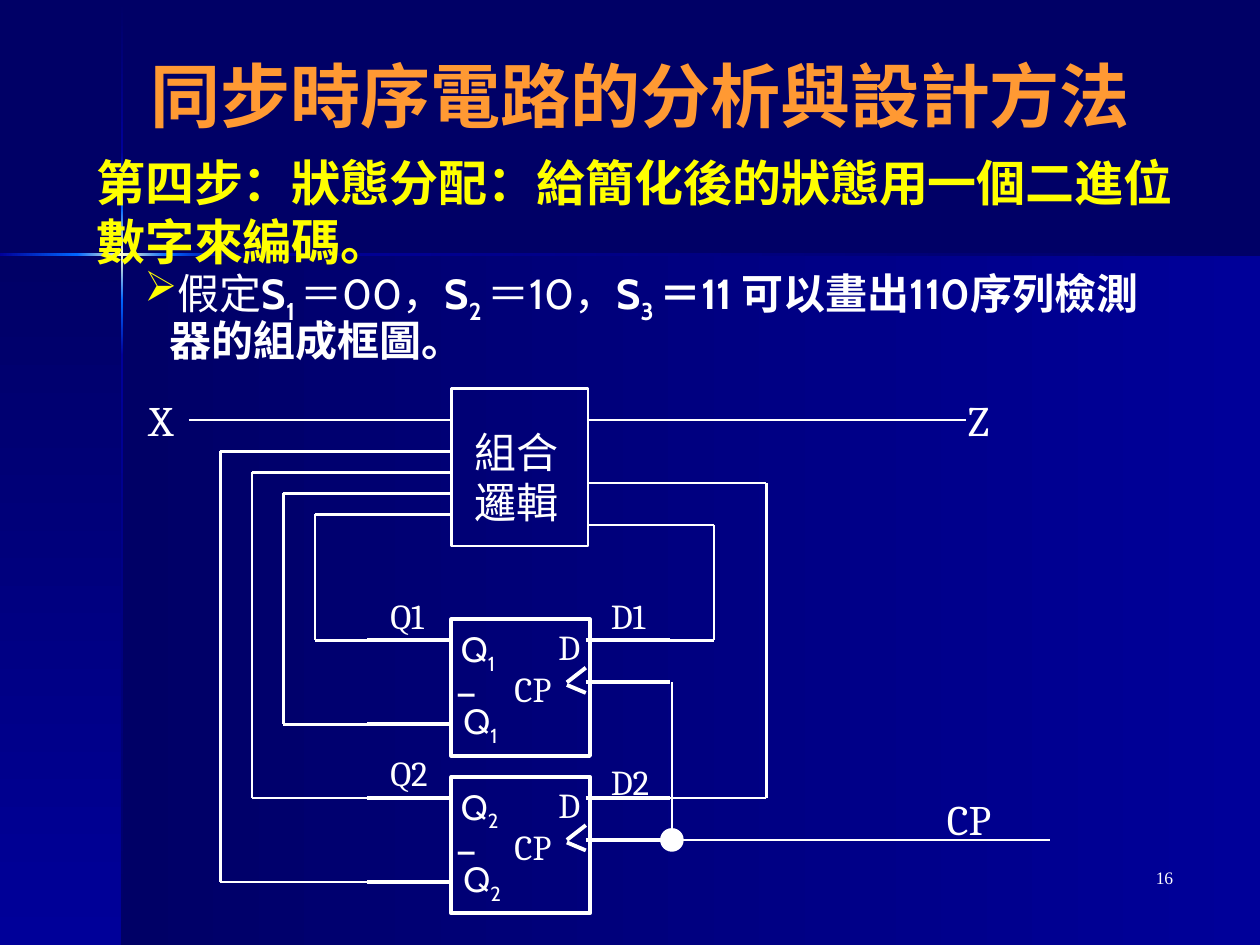
from itertools import pairwise

from lxml import etree
from pptx import Presentation
from pptx import util as u
from pptx.dml.color import RGBColor
from pptx.enum import shapes, text
from pptx.oxml.ns import qn

NAVY = RGBColor(0x00, 0x00, 0x66)
DEEP = RGBColor(0x00, 0x00, 0x99)
BLUE = RGBColor(0x00, 0x66, 0xFF)
CREAM = RGBColor(0xFF, 0xFF, 0xCC)
WHITE = RGBColor(0xFF, 0xFF, 0xFF)
GOLD = RGBColor(0xFF, 0x99, 0x33)
LEMON = RGBColor(0xFF, 0xFF, 0x00)

WIDE, HIGH = 25.4, 19.05
STEP = 2.54 / 12  # pitch of the diagram grid, in cm
KIND = shapes.MSO_SHAPE


def grid(spot, x, y, w=0, h=0):
    """Turn grid steps from a spot into a box in cm."""
    return spot[0] + x * STEP, spot[1] + y * STEP, w * STEP, h * STEP


def block(slide, box, kind=KIND.RECTANGLE):
    shape = slide.shapes.add_shape(kind, *map(u.Cm, box))
    shape.shadow.inherit = False
    return shape


def frame(slide, box, width):
    shape = block(slide, box)
    shape.fill.background()
    shape.line.color.rgb = WHITE
    shape.line.width = u.Pt(width)


def fade(slide, box, start, end, down):
    shape = block(slide, box)
    shape.line.fill.background()
    shape.fill.gradient()
    shape.fill.gradient_angle = 270 if down else 0
    for stop, color in zip(shape.fill.gradient_stops, (start, end)):
        stop.color.rgb = color


def wire(slide, spot, points, width=1.5):
    """Join grid points one after another with straight lines."""
    ends = [grid(spot, *point)[:2] for point in points]
    for start, end in pairwise(ends):
        line = slide.shapes.add_connector(
            shapes.MSO_CONNECTOR.STRAIGHT, *map(u.Cm, start + end))
        line.line.color.rgb = WHITE
        line.line.width = u.Pt(width)
        etree.SubElement(line._element.spPr, qn("a:effectLst"))


def style(run, size, font, color=WHITE, bold=False, sub=False):
    run.font.size = u.Pt(size)
    run.font.name = font
    run.font.color.rgb = color
    run.font.bold = bold
    if sub:
        run._r.get_or_add_rPr().set("baseline", "-25000")


def area(slide, box, wrap=True):
    shape = slide.shapes.add_textbox(*map(u.Cm, box))
    shape.text_frame.word_wrap = wrap
    return shape.text_frame


def label(slide, box, words, size, font="Cambria", color=WHITE, bold=False,
          wrap=True):
    body = area(slide, box, wrap)
    body.text = words
    style(body.paragraphs[0].runs[0], size, font, color, bold)
    return body


def add_q(para, num):
    para.line_spacing = u.Pt(20)
    for words, sub in (("Q", False), (num, True)):
        run = para.add_run()
        run.text = words
        style(run, 20, "Cabin", sub=sub)


def ground(slide):
    slide.background.fill.solid()
    slide.background.fill.fore_color.rgb = NAVY
    left, top, thick = 2.46, 5.13, 0.05
    fade(slide, (left, top, WIDE - left, HIGH - top), NAVY, DEEP, False)
    fade(slide, (0, top, left, HIGH - top), NAVY, DEEP, True)
    glow = [DEEP, BLUE, CREAM, BLUE, DEEP, NAVY]
    tall = zip([0.03, 3.07, 4.19, 5.12, 6.05, 7.16, HIGH], [NAVY] + glow)
    for (y, start), (end, stop) in pairwise(tall):
        fade(slide, (left - 0.02, y, thick, end - y), start, stop, True)
    flat = zip([0, 1.55, 2.45, 3.38, 4.5, WIDE], glow)
    for (x, start), (end, stop) in pairwise(flat):
        fade(slide, (x, top - 0.02, end - x, thick), start, stop, False)


def heading(slide, box):
    body = label(slide, box, "同步時序電路的分析與設計方法", 40, "Cabin", GOLD, True)
    body.vertical_anchor = text.MSO_ANCHOR.MIDDLE
    body.paragraphs[0].alignment = text.PP_ALIGN.CENTER


def bullet(slide, box):
    para = area(slide, box).paragraphs[0]
    para.line_spacing = 0.9
    props = para._p.get_or_add_pPr()
    props.set("marL", str(u.Cm(1.27)))
    props.set("indent", str(u.Cm(-0.51)))
    tint = etree.SubElement(props, qn("a:buClr"))
    etree.SubElement(tint, qn("a:srgbClr")).set("val", str(LEMON))
    etree.SubElement(props, qn("a:buChar")).set("char", "➢")
    parts = [
        ("假定", False, False),
        ("S", True, False), ("1 ", True, True), ("＝00，", False, False),
        ("S", True, False), ("2 ", True, True), ("＝10，", False, False),
        ("S", True, False), ("3 ", True, True),
        ("＝11 可以畫出110序列檢測器的組成框圖。", True, False),
    ]
    for words, bold, sub in parts:
        run = para.add_run()
        run.text = words
        style(run, 24, "Cabin", WHITE, bold, sub)


def logic(slide, spot):
    frame(slide, grid(spot, 0, 0, 13, 15), 1.5)
    label(slide, grid(spot, 1, 3, 13, 11), "組合邏輯", 24)


def wires(slide, spot):
    for i, low in enumerate((47, 39, 32, 24)):
        x, y = 8 + 3 * i, 6 + 2 * i
        wire(slide, spot, [(30, y), (x, y), (x, low), (22, low)])
    for x, y, low, end in ((55, 13, 24, 50), (60, 9, 39, 48)):
        wire(slide, spot, [(43, y), (x, y), (x, low), (end, low)])
    wire(slide, spot, [(5, 3), (30, 3)])
    wire(slide, spot, [(43, 3), (79, 3)])
    wire(slide, spot, [(51, 28), (51, 43), (87, 43)])
    dot = block(slide, grid(spot, 50, 42, 2, 2), KIND.OVAL)
    dot.fill.solid()
    dot.fill.fore_color.rgb = WHITE
    dot.line.color.rgb = WHITE
    dot.line.width = u.Pt(1.5)
    for words, x, y in (("X", 0, 0), ("Z", 78, 0), ("CP", 76, 38)):
        label(slide, grid(spot, x, y, 11, 6), words, 24)


def flip(slide, spot, num, rise):
    """Draw one flip-flop; rise is how far its D label sits above it."""
    frame(slide, grid(spot, 0, 0, 13.2, 13), 2.25)
    for x, y, end in ((-8, 2, 0), (-8, 10, 0), (12.8, 2, 20.8), (12.8, 6, 20.8)):
        wire(slide, spot, [(x, y), (end, y)], 2.25)
    wire(slide, spot, [(11, 6.24), (12.8, 7)], 2.25)
    wire(slide, spot, [(12.8, 4.6), (11, 6)], 2.25)
    label(slide, grid(spot, 9, 0, 4.4, 5.2), "D", 20)
    clock = label(slide, grid(spot, 6, 4, 6, 5.2), "CP", 20)
    clock.margin_left = clock.margin_right = 0
    label(slide, grid(spot, 14, -rise, 6.5, 5.2), "D" + num, 20, wrap=False)
    label(slide, grid(spot, -7, -3, 6.5, 5.2), "Q" + num, 20, wrap=False)
    add_q(area(slide, grid(spot, -0.28, 1.4, 9.4, 4.5)).paragraphs[0], num)
    body = label(slide, grid(spot, -0.75, 4.95, 10.5, 8.2), "—", 20, "Cabin")
    body.paragraphs[0].line_spacing = u.Pt(20)
    para = body.add_paragraph()
    para._p.get_or_add_pPr().set("marL", str(u.Cm(0.15)))
    add_q(para, num)


def diagram(slide, spot):
    logic(slide, grid(spot, 30, 0)[:2])
    wires(slide, spot)
    flip(slide, grid(spot, 30, 22)[:2], "1", 3)
    flip(slide, grid(spot, 30, 37)[:2], "2", 2.2)


def main():
    deck = Presentation()
    deck.slide_width, deck.slide_height = u.Cm(WIDE), u.Cm(HIGH)
    slide = deck.slides.add_slide(deck.slide_layouts[6])
    ground(slide)
    page = label(slide, (18.62, 17.35, 5.28, 1.27), "16", 10, "Times New Roman")
    page.paragraphs[0].alignment = text.PP_ALIGN.RIGHT
    heading(slide, (1.27, 0.85, 23.28, 2.12))
    label(slide, (1.69, 2.96, 22.65, 14.4),
          "第四步：狀態分配：給簡化後的狀態用一個二進位數字來編碼。",
          28, "Cabin", LEMON, True)
    bullet(slide, (1.9, 5.29, 22.01, 2.12))
    diagram(slide, (2.75, 7.83))
    deck.save("out.pptx")


if __name__ == "__main__":
    main()
